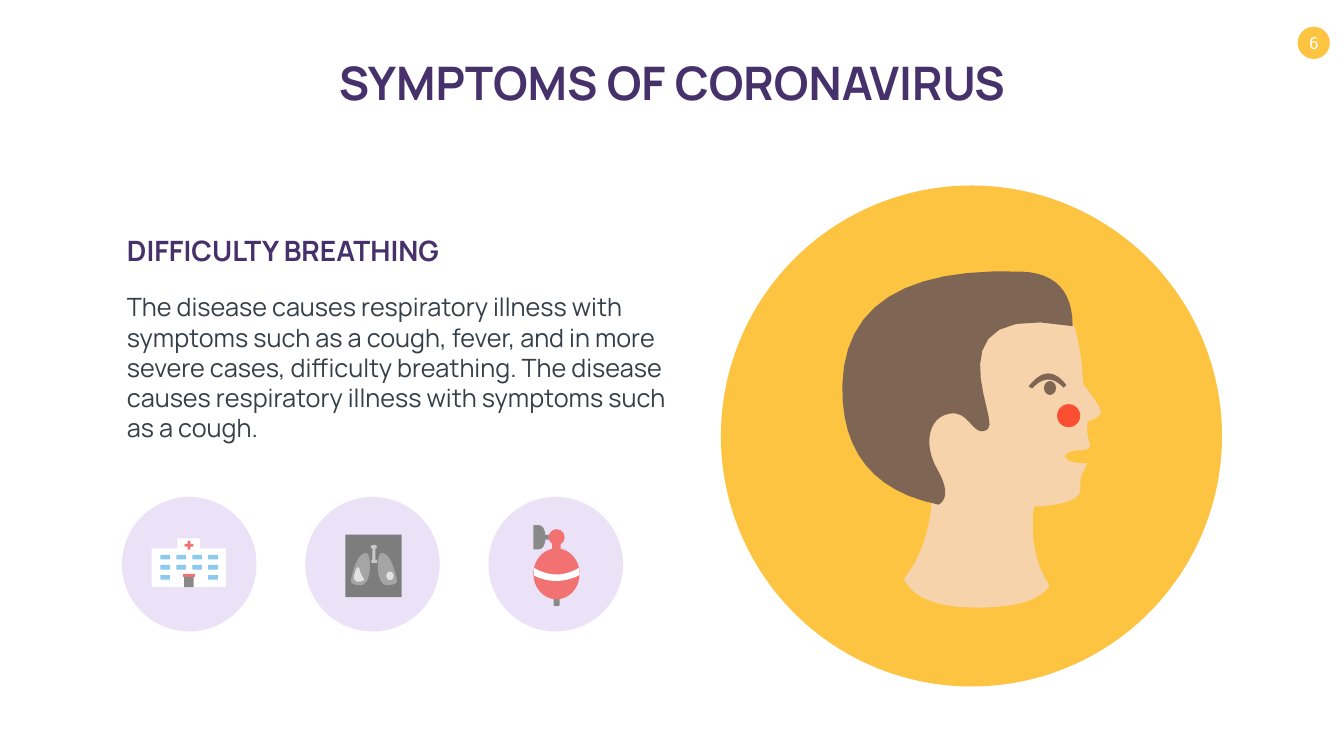
from dataclasses import dataclass

from pptx import Presentation
from pptx.dml.color import RGBColor
from pptx.enum import shapes, text
from pptx.util import Pt

CURVE_STEPS = 12
LINE_HEIGHT = 1.2

FONT = "Manrope"
PURPLE = "46316B"
YELLOW = "FDC442"
SKIN = "F6D3AA"
BROWN = "7F6654"
CORAL = "F27171"
GREY = "898989"
WHITE = "FFFFFF"

OVAL = shapes.MSO_SHAPE.OVAL
RECTANGLE = shapes.MSO_SHAPE.RECTANGLE
ROUNDED = shapes.MSO_SHAPE.ROUNDED_RECTANGLE
CROSS = shapes.MSO_SHAPE.CROSS
HALF_DISC = shapes.MSO_SHAPE.FLOWCHART_DELAY


@dataclass
class Preset:
    kind: int
    color: str
    left: float
    top: float
    width: float
    height: float


@dataclass
class Outline:
    """Segments list their control points, if any, and then their end."""
    color: str
    start: tuple
    segments: list


@dataclass
class Label:
    words: str
    left: float
    top: float
    width: float
    height: float
    size: float
    color: str
    bold: bool = False
    align: int = text.PP_ALIGN.LEFT


def rgb(color: str) -> RGBColor:
    return RGBColor.from_string(color)


def paint(shape, color: str):
    shape.fill.solid()
    shape.fill.fore_color.rgb = rgb(color)
    shape.line.fill.background()
    shape.shadow.inherit = False
    return shape


def draw_preset(parent, item: Preset):
    box = (Pt(value) for value in (item.left, item.top, item.width, item.height))
    shape = paint(parent.add_shape(item.kind, *box), item.color)
    if item.kind == CROSS:
        shape.adjustments[0] = 0.34
    return shape


def curve_point(controls: list, t: float) -> tuple:
    while len(controls) > 1:
        controls = [((1 - t) * x1 + t * x2, (1 - t) * y1 + t * y2)
                    for (x1, y1), (x2, y2) in zip(controls, controls[1:])]
    return controls[0]


def draw_outline(parent, item: Outline):
    points = [item.start]
    for segment in item.segments:
        controls = [points[-1], *zip(segment[::2], segment[1::2])]
        steps = CURVE_STEPS if len(controls) > 2 else 1
        points += [curve_point(controls, step / steps) for step in range(1, steps + 1)]
    vertices = [(Pt(x), Pt(y)) for x, y in points]
    builder = parent.build_freeform(*vertices[0])
    builder.add_line_segments(vertices[1:], close=True)
    return paint(builder.convert_to_shape(), item.color)


def mirrored(item: Outline, axis: float) -> Outline:
    def flip(values: tuple) -> tuple:
        return tuple(value if index % 2 else 2 * axis - value for index, value in enumerate(values))
    return Outline(item.color, flip(item.start), [flip(segment) for segment in item.segments])


def draw_group(slide, items: list):
    group = slide.shapes.add_group_shape()
    for item in items:
        draw = draw_preset if isinstance(item, Preset) else draw_outline
        draw(group.shapes, item)


def write_label(shape, label: Label):
    shape.left, shape.top = Pt(label.left), Pt(label.top)
    shape.width, shape.height = Pt(label.width), Pt(label.height)
    frame = shape.text_frame
    frame.text = label.words
    frame.word_wrap = True
    frame.auto_size = text.MSO_AUTO_SIZE.NONE
    frame.vertical_anchor = text.MSO_ANCHOR.TOP
    paragraph = frame.paragraphs[0]
    paragraph.alignment = label.align
    paragraph.line_spacing = Pt(label.size * LINE_HEIGHT)
    paragraph.space_before = Pt(0)
    paragraph.font.name = FONT
    paragraph.font.size = Pt(label.size)
    paragraph.font.bold = label.bold
    paragraph.font.color.rgb = rgb(label.color)


def draw_page_badge(slide, number: str):
    badge = draw_preset(slide.shapes, Preset(OVAL, YELLOW, 1853.3, 38.2, 46, 46))
    frame = badge.text_frame
    frame.margin_left = frame.margin_right = frame.margin_top = frame.margin_bottom = 0
    frame.word_wrap = False
    frame.vertical_anchor = text.MSO_ANCHOR.MIDDLE
    frame.text = number
    paragraph = frame.paragraphs[0]
    paragraph.alignment = text.PP_ALIGN.CENTER
    paragraph.font.name = "Roboto Slab"
    paragraph.font.size = Pt(24)
    paragraph.font.color.rgb = rgb(WHITE)


TITLE = Label("SYMPTOMS OF CORONAVIRUS", 404, 74.2, 1111.6, 87, 66, PURPLE, True, text.PP_ALIGN.CENTER)
LABELS = [
    Label("The disease causes respiratory illness with symptoms such as a cough, fever, and in more "
          "severe cases, difficulty breathing. The disease causes respiratory illness with symptoms "
          "such as a cough.", 174.2, 413.3, 785.5, 225.4, 36, "363E48"),
    Label("DIFFICULTY BREATHING", 174.2, 330.5, 522, 55.4, 40, PURPLE, True),
]

NECK = Outline(SKIN, (1499, 837), [
    (1465, 784, 1479, 710), (1332, 699), (1329, 780, 1291, 827), (1310, 868, 1395, 868),
    (1478, 868, 1499, 837)])
FACE = Outline(SKIN, (1320, 711), [
    (1318, 576), (1411, 446), (1532, 461), (1544, 490, 1547, 549), (1572, 580, 1572, 589),
    (1571, 596, 1554, 602), (1550, 616, 1557, 636), (1555, 643, 1546, 643),
    (1524, 643, 1521, 652), (1524, 662, 1554, 662), (1549, 667, 1548, 673),
    (1542, 680, 1543, 699), (1543, 727, 1431, 724)])
EYEBROW = Outline(BROWN, (1469, 552), [
    (1497, 516, 1523, 550), (1519, 554), (1497, 530, 1474, 555)])
HAIR = Outline(BROWN, (1532, 466), [
    (1532, 391, 1459, 388), (1207, 379, 1203, 551), (1201, 693, 1341, 721),
    (1360, 708, 1339, 671), (1318, 635, 1326, 596, 1356, 591),
    (1385, 585, 1390, 628, 1411, 613), (1430, 600, 1322, 428, 1532, 466)])
HEAD = [
    NECK, FACE, EYEBROW,
    Preset(OVAL, BROWN, 1491, 544.3, 17.3, 20),
    HAIR,
    Preset(OVAL, "FC4F32", 1509.8, 577.4, 33, 33),
]

WINDOWS = [(column, row) for row in range(3) for column in range(4) if row < 2 or column in (0, 3)]
HOSPITAL = [
    Preset(RECTANGLE, WHITE, 216.7, 783.4, 106, 55.4),
    Preset(RECTANGLE, WHITE, 253.4, 769, 32.4, 15),
    Preset(RECTANGLE, GREY, 262.8, 820.8, 13.7, 18),
    Preset(CROSS, CORAL, 263.5, 772.6, 12.6, 12.6),
    *[Preset(RECTANGLE, "8BC9EE", 229 + 22.8 * column, 792.7 + 14.4 * row, 13.7, 6.5)
      for column, row in WINDOWS],
    Preset(RECTANGLE, CORAL, 261.4, 820, 17, 4.3),
]

LUNG = Outline("A5A5A5", (521, 790), [
    (508, 794, 501, 830), (502, 836, 516, 836), (529, 834, 530, 813, 530, 786, 521, 790)])
LUNGS = [
    Preset(RECTANGLE, "7D7D7D", 493.2, 763.9, 80.6, 89.3),
    LUNG,
    mirrored(LUNG, 534),
    Preset(OVAL, "C9C9C9", 529.4, 778.3, 9, 6),
    Preset(ROUNDED, "C9C9C9", 532, 780, 4, 23),
    Preset(RECTANGLE, "C9C9C9", 530.3, 800, 8.3, 4.3),
    Outline("E2E2E2", (513, 811), [
        (515, 821, 520, 827), (520, 831, 511, 831), (503, 829, 507, 818), (509, 809, 513, 811)]),
    Preset(OVAL, "E2E2E2", 551.8, 816.5, 10.5, 12.3),
]

BULB_PUMP = [
    Preset(RECTANGLE, CORAL, 788.4, 769, 12.2, 31.7),
    Preset(ROUNDED, GREY, 790.6, 851.8, 8.6, 13.7),
    Preset(HALF_DISC, GREY, 761.8, 750.2, 17.3, 34.6),
    Preset(RECTANGLE, GREY, 778, 764, 12.5, 7),
    Preset(OVAL, CORAL, 783.4, 756, 23, 23),
    Preset(OVAL, CORAL, 761.8, 783.4, 66, 72.7),
    Outline(WHITE, (763, 811.4), [
        (795, 830, 826.6, 811.4), (828, 821.5), (795, 838, 762.5, 822.2)]),
]


def main():
    presentation = Presentation()
    presentation.slide_width, presentation.slide_height = Pt(1919.52), Pt(1080)
    slide = presentation.slides.add_slide(presentation.slide_layouts[5])
    draw_page_badge(slide, "6")
    write_label(slide.shapes.title, TITLE)
    draw_preset(slide.shapes, Preset(OVAL, YELLOW, 1029.6, 265, 715.7, 715.7))
    draw_group(slide, HEAD)
    for label in LABELS:
        write_label(slide.shapes.add_textbox(0, 0, 0, 0), label)
    for index, icon in enumerate((HOSPITAL, LUNGS, BULB_PUMP)):
        draw_preset(slide.shapes, Preset(OVAL, "ECE2F8", 174.2 + 261.7 * index, 709.9, 192.2, 192.2))
        draw_group(slide, icon)
    presentation.save("out.pptx")


if __name__ == "__main__":
    main()
